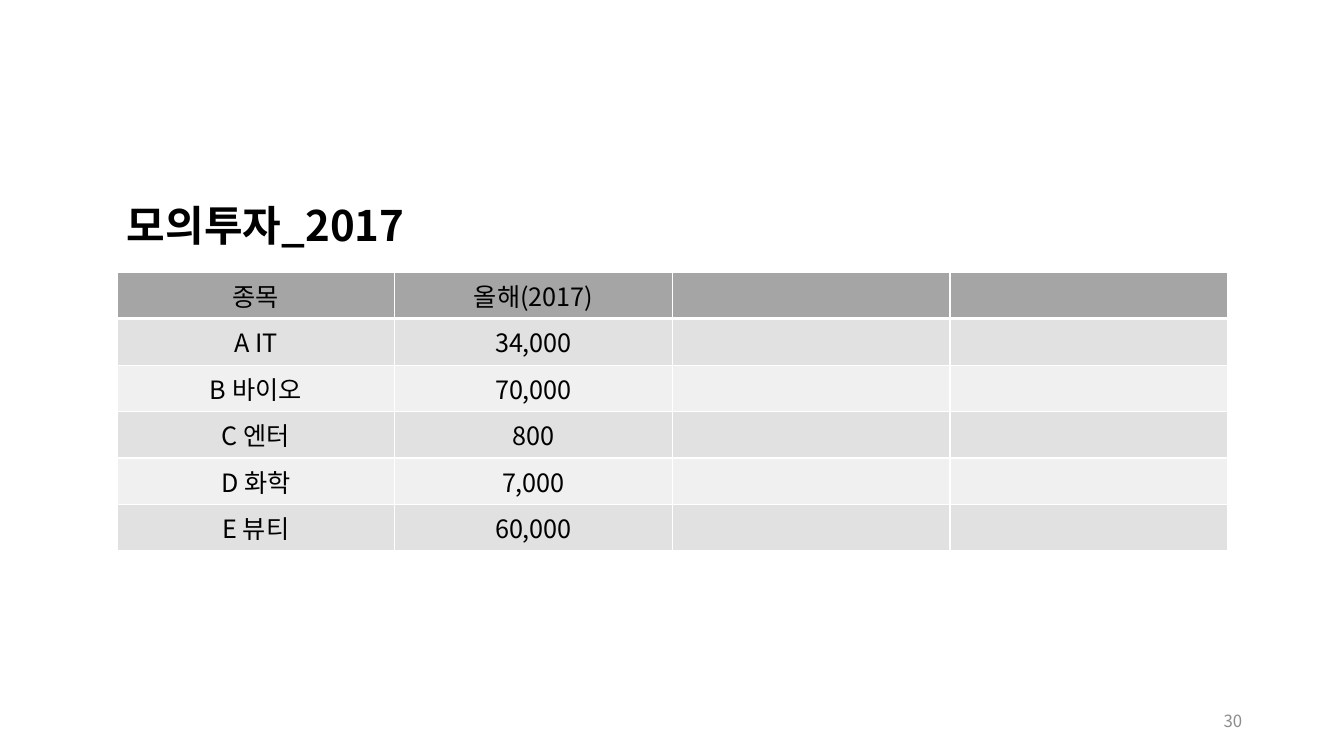
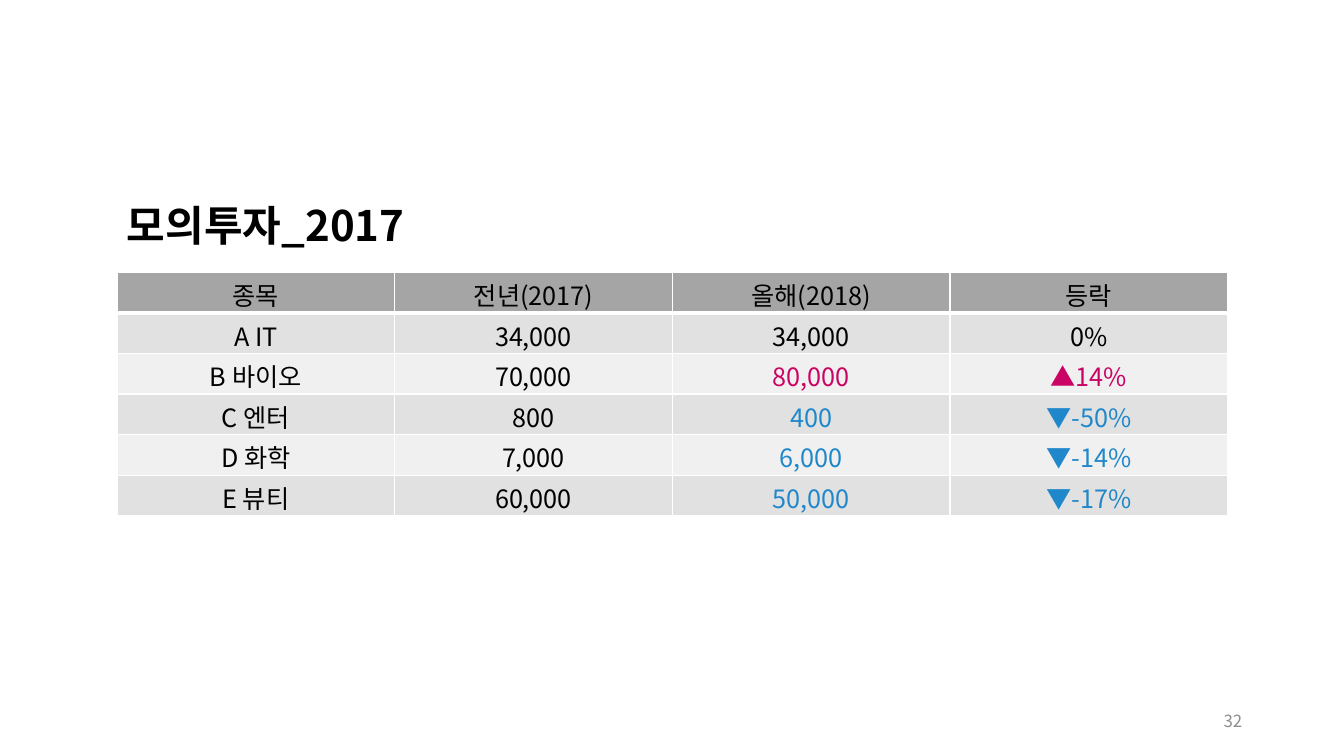
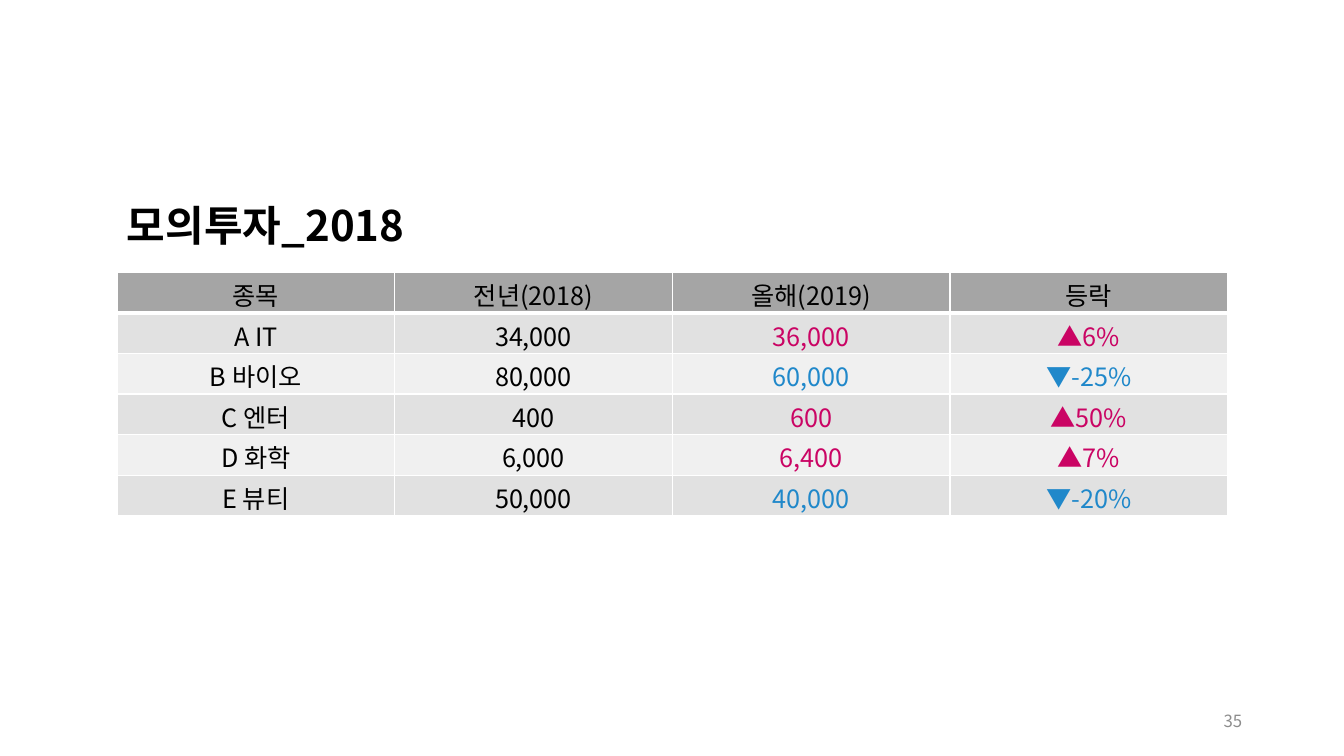
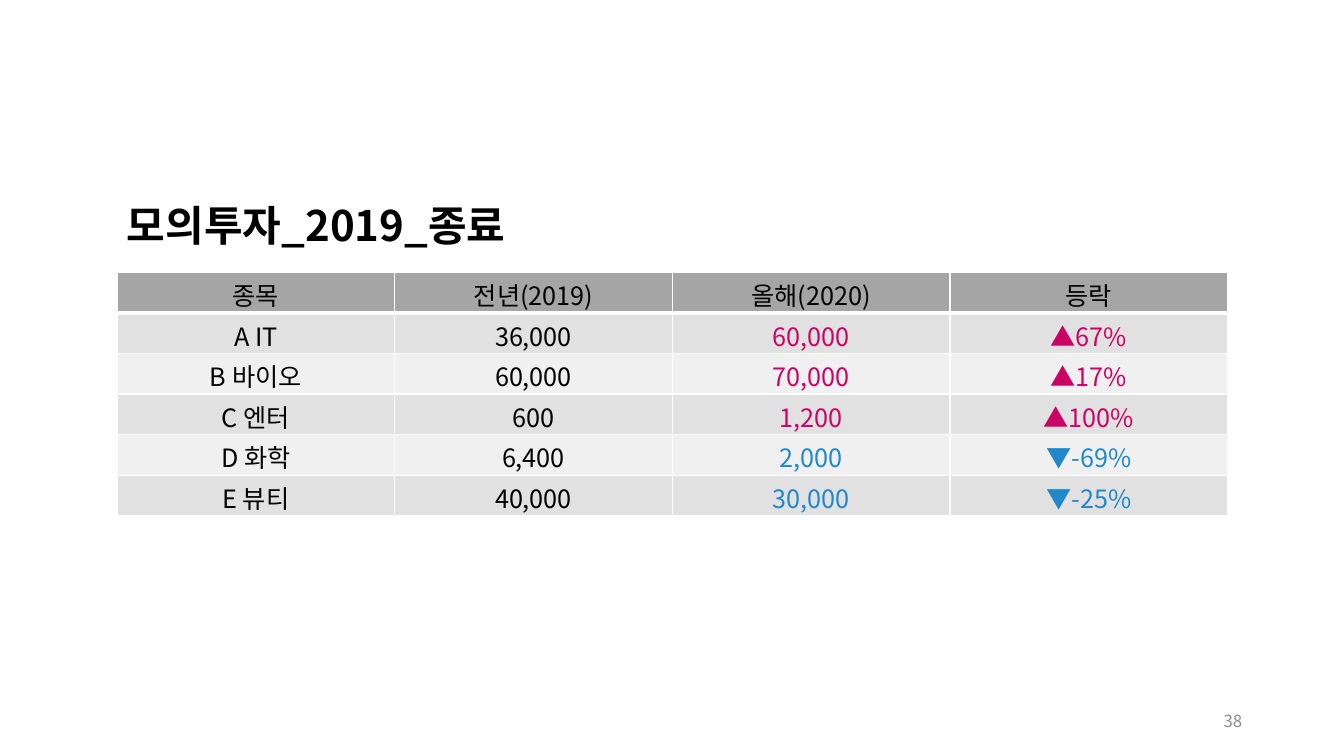
from dataclasses import dataclass

from lxml import etree
from pptx import Presentation
from pptx.dml.color import RGBColor
from pptx.enum.text import MSO_ANCHOR, MSO_AUTO_SIZE, PP_ALIGN
from pptx.oxml.ns import qn
from pptx.util import Inches, Pt

LEFT, MID, RIGHT = PP_ALIGN.LEFT, PP_ALIGN.CENTER, PP_ALIGN.RIGHT
TOP, HALF = MSO_ANCHOR.TOP, MSO_ANCHOR.MIDDLE
FIT, FIXED = MSO_AUTO_SIZE.SHAPE_TO_FIT_TEXT, MSO_AUTO_SIZE.NONE


@dataclass(frozen=True)
class Theme:
    font: str = "Noto Sans CJK KR"
    ink: str = "000000"
    page: str = "8C8C8C"
    line: str = "FFFFFF"
    head: str = "A5A5A5"
    odd: str = "E1E1E1"
    even: str = "F0F0F0"
    rise: str = "CA0464"
    fall: str = "2088CA"
    big: int = 30
    body: int = 18
    small: int = 12
    thin: int = 1
    thick: int = 3


class Deck:
    """Draws on the current slide, with lengths in hundredths of its size."""

    def __init__(self, theme):
        self.theme = theme
        self.show = Presentation()
        self.show.slide_width = Inches(13.33)
        self.show.slide_height = Inches(7.5)
        self.slide = None

    def across(self, share):
        return round(self.show.slide_width * share / 100)

    def down(self, share):
        return round(self.show.slide_height * share / 100)

    def add(self):
        self.slide = self.show.slides.add_slide(self.show.slide_layouts[6])

    def label(self, para, text, size, color, align, bold=False):
        para.alignment = align
        run = para.add_run()
        run.text = text
        form = {"name": self.theme.font, "size": Pt(size), "bold": bold}
        for key, value in form.items():
            setattr(run.font, key, value)
        run.font.color.rgb = RGBColor.from_string(color)
        east = etree.SubElement(run.font._element, qn("a:ea"))
        east.set("typeface", self.theme.font)

    def text(self, left, top, wide, high, form, *style):
        box = self.slide.shapes.add_textbox(
            self.across(left), self.down(top), self.across(wide), self.down(high))
        for key, value in form.items():
            setattr(box.text_frame, key, value)
        self.label(box.text_frame.paragraphs[0], *style)

    def title(self, text):
        form = {"word_wrap": True, "auto_size": FIT, "vertical_anchor": TOP}
        self.text(8.7, 25.73, 41, 8.13, form,
                  text, self.theme.big, self.theme.ink, LEFT, True)

    def number(self, page):
        form = {"word_wrap": True, "auto_size": FIXED, "vertical_anchor": HALF}
        self.text(70.67, 92.67, 22.5, 5.33, form,
                  str(page), self.theme.small, self.theme.page, RIGHT)

    def edge(self, cell, row):
        look = self.theme
        wide = {"lnL": look.thin, "lnR": look.thin,
                "lnT": look.thick if row == 1 else look.thin,
                "lnB": look.thick if row == 0 else look.thin}
        prop = cell._tc.get_or_add_tcPr()
        for side, size in wide.items():
            line = etree.SubElement(prop, qn(f"a:{side}"), w=str(Pt(size)))
            fill = etree.SubElement(line, qn("a:solidFill"))
            etree.SubElement(fill, qn("a:srgbClr"), val=look.line)

    def table(self, rows, high, pad):
        look = self.theme
        count = len(rows[0])
        grid = self.slide.shapes.add_table(
            len(rows), count, self.across(8.7), self.down(36),
            self.across(82.66), self.down(high * len(rows))).table
        for key in ("first_row", "horz_banding"):
            setattr(grid, key, False)
        for r, row in enumerate(rows):
            grid.rows[r].height = self.down(high)
            fill = look.head if r == 0 else (look.even, look.odd)[r % 2]
            for c, (text, color) in enumerate(row):
                cell = grid.cell(r, c)
                for key, value in pad.items():
                    setattr(cell, key, value)
                self.edge(cell, r)
                cell.fill.solid()
                cell.fill.fore_color.rgb = RGBColor.from_string(fill)
                if text:
                    self.label(cell.text_frame.paragraphs[0],
                               text, look.body, color, MID)


STOCKS = ["A IT", "B 바이오", "C 엔터", "D 화학", "E 뷰티"]
PRICES = {
    2017: [34000, 70000, 800, 7000, 60000],
    2018: [34000, 80000, 400, 6000, 50000],
    2019: [36000, 60000, 600, 6400, 40000],
    2020: [60000, 70000, 1200, 2000, 30000],
}
LOOSE = {"margin_top": Inches(0.05), "margin_bottom": Inches(0.05)}
TIGHT = {"margin_top": Inches(0.04), "margin_bottom": 0}


def start(look, year):
    rows = [["종목", f"올해({year})", "", ""]]
    rows += [[name, f"{price:,}", "", ""]
             for name, price in zip(STOCKS, PRICES[year])]
    return [[(text, look.ink) for text in row] for row in rows]


def change(look, year):
    heads = ["종목", f"전년({year})", f"올해({year + 1})", "등락"]
    rows = [[(text, look.ink) for text in heads]]
    for name, old, new in zip(STOCKS, PRICES[year], PRICES[year + 1]):
        mark, color = "", look.ink
        if new > old:
            mark, color = "▲", look.rise
        elif new < old:
            mark, color = "▼", look.fall
        rate = f"{mark}{(new - old) / old:.0%}"
        rows.append([(name, look.ink), (f"{old:,}", look.ink),
                     (f"{new:,}", color), (rate, color)])
    return rows


def main():
    look = Theme()
    deck = Deck(look)
    plan = [
        (30, "모의투자_2017", start(look, 2017), 6.15, LOOSE),
        (32, "모의투자_2017", change(look, 2017), 5.38, TIGHT),
        (35, "모의투자_2018", change(look, 2018), 5.38, TIGHT),
        (38, "모의투자_2019_종료", change(look, 2019), 5.38, TIGHT),
    ]
    for page, title, rows, high, pad in plan:
        deck.add()
        deck.number(page)
        deck.title(title)
        deck.table(rows, high, pad)
    deck.show.save("out.pptx")


if __name__ == "__main__":
    main()
